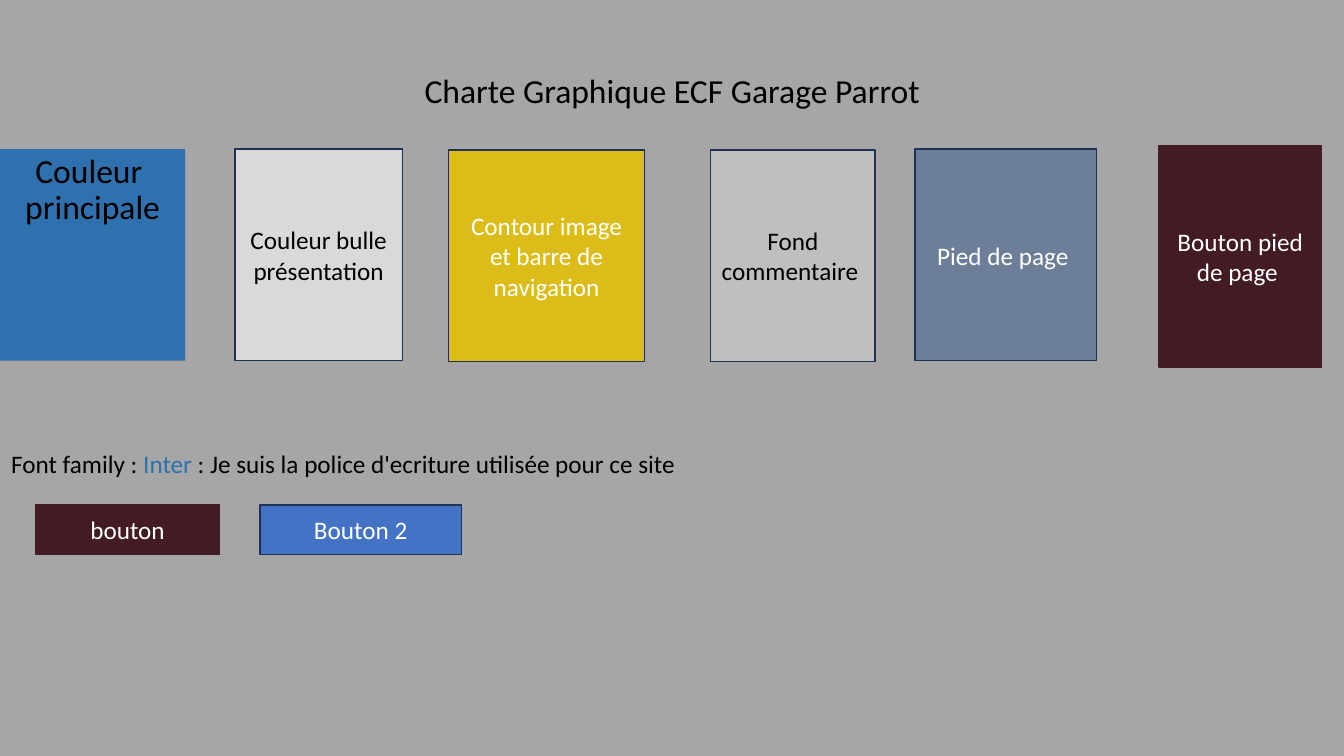
from dataclasses import dataclass

from lxml import etree
from pptx import Presentation
from pptx.dml.color import RGBColor
from pptx.enum.shapes import MSO_SHAPE
from pptx.enum.text import MSO_ANCHOR, MSO_AUTO_SIZE, PP_ALIGN
from pptx.oxml.ns import qn
from pptx.slide import Slide
from pptx.text.text import Font, TextFrame
from pptx.util import Cm, Pt

RECTANGLE = MSO_SHAPE.RECTANGLE
TOP, MIDDLE, BOTTOM = MSO_ANCHOR.TOP, MSO_ANCHOR.MIDDLE, MSO_ANCHOR.BOTTOM
CENTER = PP_ALIGN.CENTER
NO_AUTOFIT = MSO_AUTO_SIZE.NONE
TITLE_ONLY_LAYOUT = 5

FONT_NAME = "Calibri"
BLACK, WHITE = "000000", "FFFFFF"
GREY, LIGHT_GREY = "A6A6A6", "D9D9D9"
BLUE, NAVY, BURGUNDY = "2E71AE", "1E3256", "421B25"

SWATCH_TOP, SWATCH_HEIGHT = 3.76, 5.33
BUTTON_TOP, BUTTON_HEIGHT = 12.73, 1.24


@dataclass(frozen=True)
class Box:
    """A filled rectangle with a label; lengths in centimetres."""
    label: str
    left: float
    width: float
    fill: str
    top: float = SWATCH_TOP
    height: float = SWATCH_HEIGHT
    line: str | None = NAVY
    text_color: str = WHITE
    size: int = 18
    anchor: MSO_ANCHOR = MIDDLE
    line_spacing: float = 1.0
    opacity: int = 100


BOXES = [
    Box("Couleur\u00a0 principale", 0, 4.67, BLUE, line=None, text_color=BLACK,
        size=24, anchor=TOP, line_spacing=0.9),
    Box("Couleur bulle présentation", 5.92, 4.22, LIGHT_GREY, text_color=BLACK),
    Box("Contour image et barre de navigation", 11.3, 4.95, "DBBC19", top=3.78),
    Box("Fond commentaire\u00a0", 17.91, 4.14, LIGHT_GREY, top=3.78,
        text_color=BLACK, opacity=50),
    Box("Pied de page\u00a0", 23.06, 4.57, "6D7F98"),
    Box("Bouton pied de page\u00a0", 29.21, 4.09, BURGUNDY, top=3.66,
        height=5.59, line=BURGUNDY),
    Box("bouton", 0.89, 4.65, BURGUNDY, BUTTON_TOP, BUTTON_HEIGHT, BURGUNDY),
    Box("Bouton 2", 6.55, 5.08, "4472C4", BUTTON_TOP, BUTTON_HEIGHT),
]
FONT_SAMPLE = [
    ("Font family :", BLACK),
    (" Inter", BLUE),
    (" :\u00a0Je suis la police d'ecriture utilisée pour ce site", BLACK),
]


def rgb(color: str) -> RGBColor:
    """Turn a hex string into a colour."""
    return RGBColor.from_string(color)


def set_font(font: Font, size: int, color: str | None = None) -> None:
    """Set the slide's typeface, a size and optionally a colour."""
    font.name = FONT_NAME
    font.size = Pt(size)
    if color:
        font.color.rgb = rgb(color)


def write_label(frame: TextFrame, text: str, size: int, color: str,
                anchor: MSO_ANCHOR, line_spacing: float) -> None:
    """Write one centred paragraph into a text frame."""
    frame.text = text
    frame.word_wrap = True
    frame.auto_size = NO_AUTOFIT
    frame.vertical_anchor = anchor
    paragraph = frame.paragraphs[0]
    paragraph.alignment = CENTER
    paragraph.line_spacing = line_spacing
    set_font(paragraph.font, size, color)


def add_title(slide: Slide, text: str) -> None:
    """Place and format the title placeholder."""
    title = slide.shapes.title
    title.left, title.top = Cm(4.24), Cm(0.86)
    title.width, title.height = Cm(25.4), Cm(2.06)
    write_label(title.text_frame, text, 24, BLACK, BOTTOM, 0.9)


def add_box(slide: Slide, box: Box) -> None:
    """Draw a colour swatch or a button."""
    shape = slide.shapes.add_shape(RECTANGLE, Cm(box.left), Cm(box.top),
                                   Cm(box.width), Cm(box.height))
    shape.shadow.inherit = False
    shape.fill.solid()
    shape.fill.fore_color.rgb = rgb(box.fill)
    if box.opacity < 100:
        color = shape.element.spPr.find(qn("a:solidFill")).find(qn("a:srgbClr"))
        etree.SubElement(color, qn("a:alpha"), val=str(box.opacity * 1000))
    if box.line:
        shape.line.color.rgb = rgb(box.line)
        shape.line.width = Pt(1)
    else:
        shape.line.fill.background()
    write_label(shape.text_frame, box.label, box.size, box.text_color,
                box.anchor, box.line_spacing)


def add_font_sample(slide: Slide, parts: list[tuple[str, str]]) -> None:
    """Add the line that presents the font family."""
    text_box = slide.shapes.add_textbox(Cm(0.03), Cm(10.69), Cm(33.78), Cm(3.81))
    frame = text_box.text_frame
    frame.word_wrap = True
    frame.margin_top = Cm(0.6)
    paragraph = frame.paragraphs[0]
    set_font(paragraph.font, 18)
    for text, color in parts:
        run = paragraph.add_run()
        run.text = text
        run.font.color.rgb = rgb(color)


def main() -> None:
    """Build and save the presentation."""
    presentation = Presentation()
    presentation.slide_width, presentation.slide_height = Cm(33.87), Cm(19.05)
    slide = presentation.slides.add_slide(
        presentation.slide_layouts[TITLE_ONLY_LAYOUT])
    slide.background.fill.solid()
    slide.background.fill.fore_color.rgb = rgb(GREY)
    add_title(slide, "Charte Graphique ECF Garage Parrot")
    for box in BOXES:
        add_box(slide, box)
    add_font_sample(slide, FONT_SAMPLE)
    presentation.save("out.pptx")


main()
